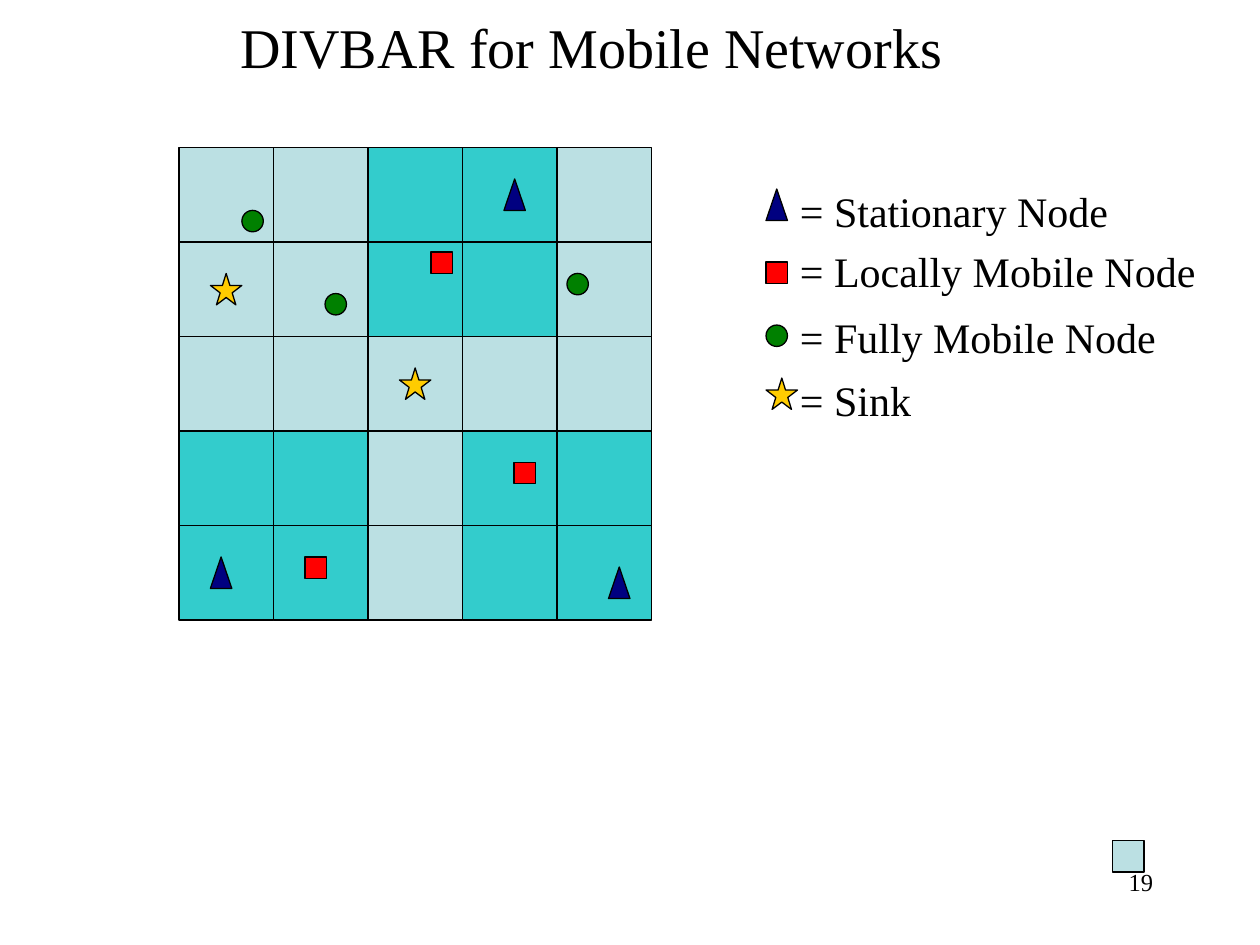
from dataclasses import dataclass

from pptx import Presentation
from pptx.dml.color import RGBColor
from pptx.enum.shapes import MSO_SHAPE
from pptx.enum.text import MSO_AUTO_SIZE, PP_ALIGN
from pptx.util import Inches, Pt

RECTANGLE = MSO_SHAPE.RECTANGLE
TRIANGLE = MSO_SHAPE.ISOSCELES_TRIANGLE
OVAL = MSO_SHAPE.OVAL
STAR = MSO_SHAPE.STAR_5_POINT
LEFT, RIGHT = PP_ALIGN.LEFT, PP_ALIGN.RIGHT
NO_FIT = MSO_AUTO_SIZE.NONE

BLACK = RGBColor(0x00, 0x00, 0x00)
PALE_BLUE = RGBColor(0xBB, 0xE0, 0xE3)
TEAL = RGBColor(0x33, 0xCC, 0xCC)
NAVY = RGBColor(0x00, 0x00, 0x80)
RED = RGBColor(0xFF, 0x00, 0x00)
GREEN = RGBColor(0x00, 0x80, 0x00)
GOLD = RGBColor(0xFF, 0xCC, 0x00)

FONT = "Times New Roman"
GRID_LEFT, GRID_TOP, CELL = 1.42, 1.17, 0.75
# T marks a teal cell, a dot a pale one
GRID_ROWS = ("..TT.", "..TT.", ".....", "TT.TT", "TT.TT")
LEGEND_MARK_LEFT, LEGEND_TEXT_LEFT, LEGEND_TEXT_HEIGHT = 6.08, 6.25, 0.5


@dataclass(frozen=True)
class Marker:
    kind: MSO_SHAPE
    color: RGBColor
    width: float
    height: float


@dataclass(frozen=True)
class LegendEntry:
    marker: Marker
    marker_top: float
    text: str
    text_top: float
    text_width: float


STATIONARY = Marker(TRIANGLE, NAVY, 0.17, 0.25)
LOCAL = Marker(RECTANGLE, RED, 0.17, 0.17)
MOBILE = Marker(OVAL, GREEN, 0.17, 0.17)
SINK = Marker(STAR, GOLD, 0.25, 0.25)
PALE_CELL = Marker(RECTANGLE, PALE_BLUE, CELL, CELL)
TEAL_CELL = Marker(RECTANGLE, TEAL, CELL, CELL)
CORNER_SQUARE = Marker(RECTANGLE, PALE_BLUE, 0.25, 0.25)

NODES = (
    (STATIONARY, ((4, 1.42), (4.83, 4.5), (1.67, 4.42))),
    (MOBILE, ((2.58, 2.33), (4.5, 2.17), (1.92, 1.67))),
    (LOCAL, ((4.08, 3.67), (3.42, 2), (2.42, 4.42))),
    (SINK, ((1.67, 2.17), (3.17, 2.92))),
)

LEGEND = (
    LegendEntry(STATIONARY, 1.5, "= Stationary Node", 1.42, 2.68),
    LegendEntry(LOCAL, 2.08, "= Locally Mobile Node", 1.9, 3.38),
    LegendEntry(MOBILE, 2.58, "= Fully Mobile Node", 2.42, 3.06),
    LegendEntry(SINK, 3, "= Sink", 2.92, 1.12),
)


def draw_marker(shapes, marker: Marker, left: float, top: float) -> None:
    shape = shapes.add_shape(marker.kind, Inches(left), Inches(top),
                             Inches(marker.width), Inches(marker.height))
    shape.shadow.inherit = False
    shape.fill.solid()
    shape.fill.fore_color.rgb = marker.color
    shape.line.color.rgb = BLACK
    shape.line.width = Pt(0.75)


def draw_text(shapes, text: str, left: float, top: float, width: float,
              height: float, size: int, align: PP_ALIGN = LEFT) -> None:
    box = shapes.add_textbox(Inches(left), Inches(top), Inches(width), Inches(height))
    frame = box.text_frame
    frame.word_wrap = True
    frame.auto_size = NO_FIT
    paragraph = frame.paragraphs[0]
    paragraph.alignment = align
    run = paragraph.add_run()
    run.text = text
    run.font.name = FONT
    run.font.size = Pt(size)
    run.font.color.rgb = BLACK


def draw_grid(shapes) -> None:
    for row, kinds in enumerate(GRID_ROWS):
        for column, kind in enumerate(kinds):
            cell = TEAL_CELL if kind == "T" else PALE_CELL
            draw_marker(shapes, cell, GRID_LEFT + column * CELL, GRID_TOP + row * CELL)


def draw_legend_entry(shapes, entry: LegendEntry) -> None:
    group = shapes.add_group_shape()
    draw_marker(group.shapes, entry.marker, LEGEND_MARK_LEFT, entry.marker_top)
    draw_text(group.shapes, entry.text, LEGEND_TEXT_LEFT, entry.text_top,
              entry.text_width, LEGEND_TEXT_HEIGHT, 24)


def main() -> None:
    presentation = Presentation()
    presentation.slide_width = Inches(10)
    presentation.slide_height = Inches(7.5)
    slide = presentation.slides.add_slide(presentation.slide_layouts[6])
    shapes = slide.shapes

    draw_text(shapes, "DIVBAR for Mobile Networks", 1.81, 0.05, 5.82, 0.64, 32)
    draw_grid(shapes)
    for marker, positions in NODES:
        for left, top in positions:
            draw_marker(shapes, marker, left, top)
    for entry in LEGEND:
        draw_legend_entry(shapes, entry)
    draw_marker(shapes, CORNER_SQUARE, 8.83, 6.67)
    draw_text(shapes, "19", 7.17, 6.83, 2.08, 0.5, 14, RIGHT)

    presentation.save("out.pptx")


if __name__ == "__main__":
    main()
